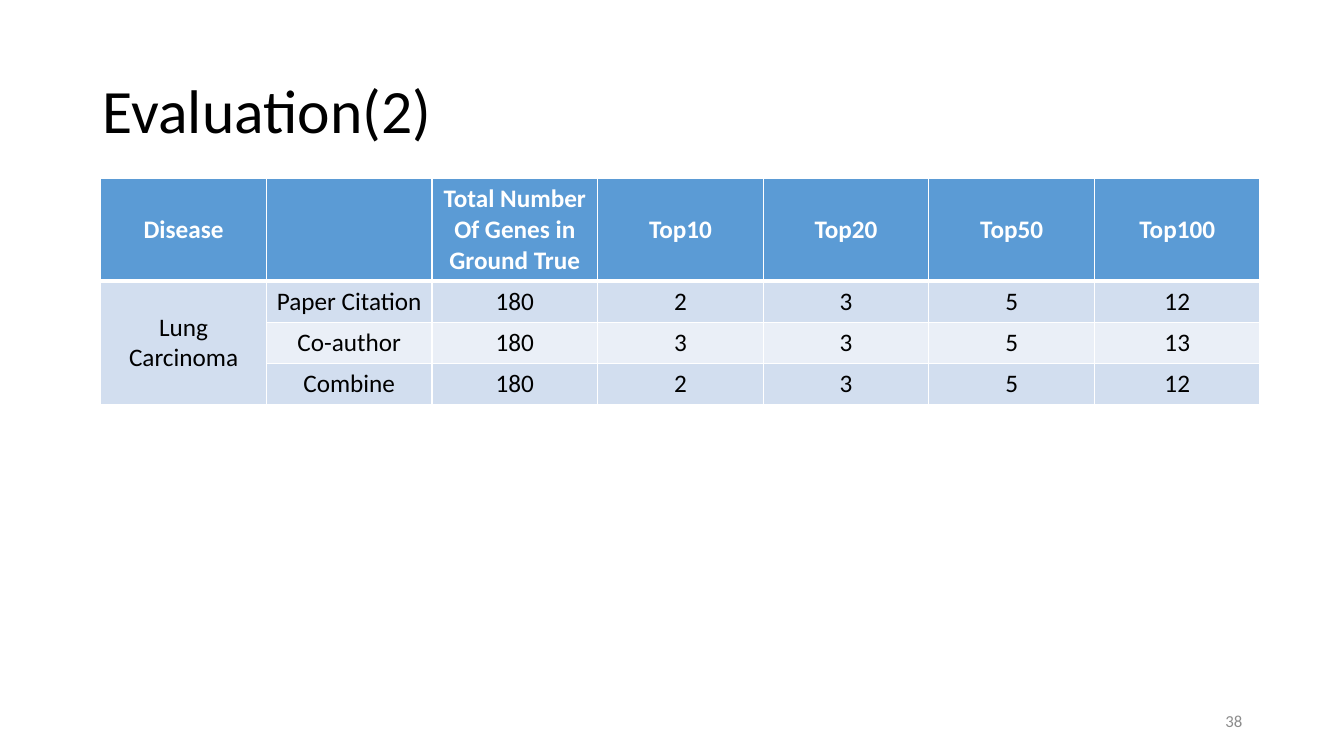
"""Build the Evaluation(2) slide with its gene ranking table."""
import pptx
import pptx.dml.color
import pptx.enum.text
import pptx.oxml
import pptx.oxml.ns
import pptx.util
from pptx.util import Inches

RGBColor = pptx.dml.color.RGBColor
Align = pptx.enum.text.PP_ALIGN
MIDDLE = pptx.enum.text.MSO_ANCHOR.MIDDLE

BLACK = RGBColor(0x00, 0x00, 0x00)
WHITE = RGBColor(0xFF, 0xFF, 0xFF)
GREY = RGBColor(0x8C, 0x8C, 0x8C)
HEADER_BLUE = RGBColor(0x5B, 0x9B, 0xD5)
BANDS = (RGBColor(0xEA, 0xEF, 0xF7), RGBColor(0xD2, 0xDE, 0xEF))

RESULTS = [
    ["Disease", "", "Total Number Of Genes in Ground True",
     "Top10", "Top20", "Top50", "Top100"],
    ["Lung Carcinoma", "Paper Citation", "180", "2", "3", "5", "12"],
    ["", "Co-author", "180", "3", "3", "5", "13"],
    ["", "Combine", "180", "2", "3", "5", "12"],
]


def write(frame, text, *, size=18, color=BLACK, bold=False, align=Align.CENTER,
          spacing=1.0):
    frame.word_wrap = True
    paragraph = frame.paragraphs[0]
    paragraph.alignment = align
    paragraph.line_spacing = spacing
    run = paragraph.add_run()
    run.text = text
    run.font.name = "Calibri"
    run.font.size = pptx.util.Pt(size)
    run.font.bold = bold
    run.font.color.rgb = color


def set_borders(cell, bottom_width):
    properties = cell._tc.get_or_add_tcPr()
    for side, width in (("L", 1), ("R", 1), ("T", 1), ("B", bottom_width)):
        properties.append(pptx.oxml.parse_xml(
            f'<a:ln{side} {pptx.oxml.ns.nsdecls("a")} w="{pptx.util.Pt(width)}">'
            f'<a:solidFill><a:srgbClr val="{WHITE}"/></a:solidFill></a:ln{side}>'))


def add_title(slide, text):
    title = slide.shapes.title
    title.left, title.top = Inches(0.92), Inches(0.4)
    title.width, title.height = Inches(11.5), Inches(1.45)
    title.text_frame.vertical_anchor = MIDDLE
    write(title.text_frame, text, size=44, align=Align.LEFT, spacing=0.9)


def add_results_table(slide, rows):
    table = slide.shapes.add_table(
        len(rows), len(rows[0]), Inches(1), Inches(1.77), Inches(11.5), Inches(2.22)).table
    for index, row in enumerate(rows):
        header = index == 0
        table.rows[index].height = Inches(1) if header else Inches(0.41)
        for column, text in enumerate(row):
            cell = table.cell(index, column)
            set_borders(cell, 3 if header else 1)
            cell.fill.solid()
            cell.fill.fore_color.rgb = HEADER_BLUE if header else BANDS[index % 2]
            cell.vertical_anchor = MIDDLE
            if text:
                write(cell.text_frame, text, bold=header,
                      color=WHITE if header else BLACK)
    table.cell(1, 0).merge(table.cell(len(rows) - 1, 0))


def add_page_number(slide, number):
    page_number = slide.shapes.add_textbox(
        Inches(9.42), Inches(6.95), Inches(3), Inches(0.4))
    page_number.text_frame.vertical_anchor = MIDDLE
    write(page_number.text_frame, number, size=12, color=GREY, align=Align.RIGHT)


def main():
    deck = pptx.Presentation()
    deck.slide_width, deck.slide_height = Inches(13.33), Inches(7.5)
    slide = deck.slides.add_slide(deck.slide_layouts[5])
    add_title(slide, "Evaluation(2)")
    add_results_table(slide, RESULTS)
    add_page_number(slide, "38")
    deck.save("out.pptx")


if __name__ == "__main__":
    main()
